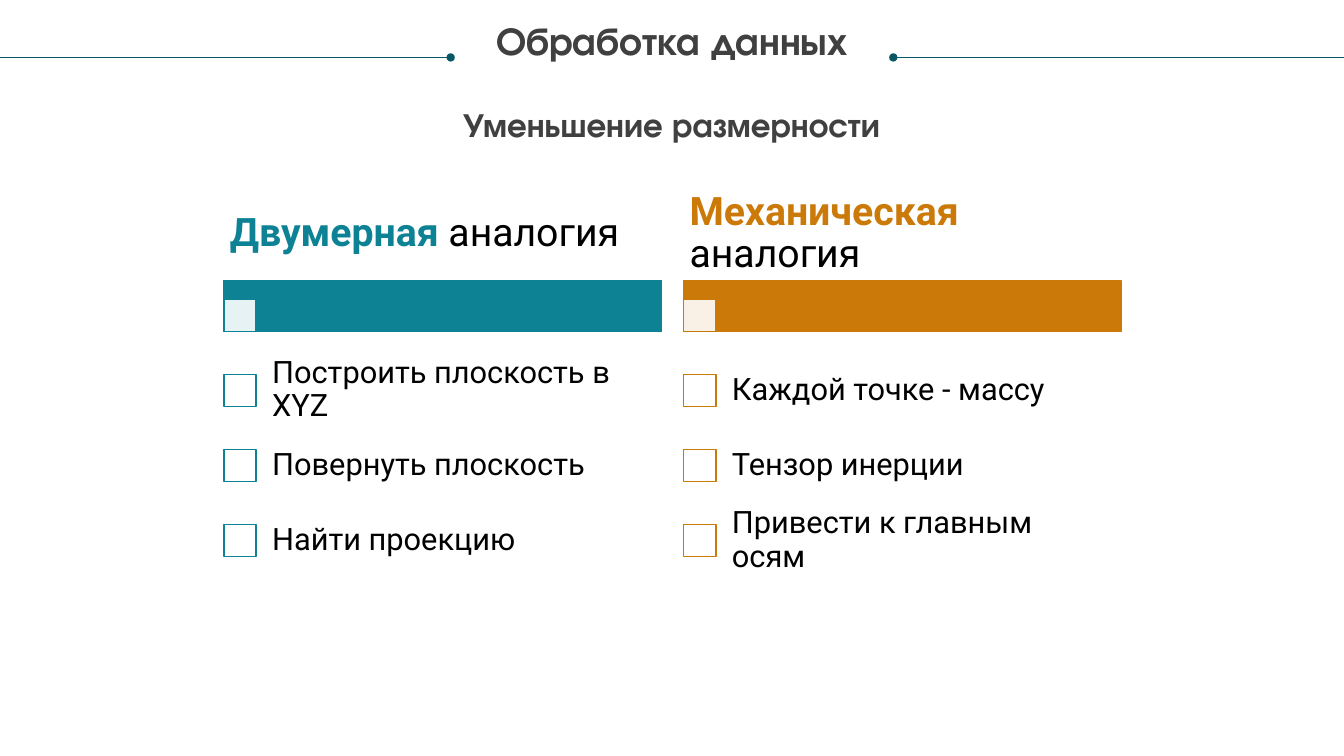
from lxml import etree
from pptx import Presentation
from pptx.dml.color import RGBColor
from pptx.enum.shapes import MSO_CONNECTOR, MSO_SHAPE
from pptx.enum.text import MSO_ANCHOR, PP_ALIGN
from pptx.oxml.ns import qn
from pptx.util import Inches, Pt

RECT, STRAIGHT = MSO_SHAPE.RECTANGLE, MSO_CONNECTOR.STRAIGHT
TOP, MIDDLE = MSO_ANCHOR.TOP, MSO_ANCHOR.MIDDLE
LEFT, CENTER = PP_ALIGN.LEFT, PP_ALIGN.CENTER

TITLE = "Обработка данных"
SUBTITLE = "Уменьшение размерности"
COLUMNS = [
    ("Двумерная", " аналогия", "teal",
     ["Построить плоскость в XYZ", "Повернуть плоскость", "Найти проекцию"]),
    ("Механическая", " аналогия", "orange",
     ["Каждой точке - массу", "Тензор инерции", "Привести к главным осям"]),
]
THEME = {
    "heading_font": "TeX Gyre Adventor", "body_font": "Roboto",
    "title_size": 28, "subtitle_size": 24, "head_size": 28, "item_size": 22,
    "teal": "0D8295", "orange": "CB7A09", "rule": "085764",
    "heading": "404040", "text": "000000", "white": "FFFFFF",
}

SLIDE_W, SLIDE_H = 13.33, 7.5
RULE_Y, RULE_LEN = 0.57, 4.47
COL_X, COL_W, COL_PITCH = 2.22, 4.34, 4.56
HEAD_Y, HEAD_H = 1.86, 0.92
BAR_Y, BAR_H = HEAD_Y + HEAD_H, 0.51
BOX = 0.32
ITEM_Y, ITEM_H, ITEM_INDENT = 3.5, 0.745, 0.31


def color(name):
    return RGBColor.from_string(THEME[name])


def run(text, size, ink, font="body_font", bold=False):
    return text, {"size": Pt(THEME[size]), "name": THEME[font], "bold": bold}, ink


def add_text(slide, at, runs, inset, anchor=MIDDLE, align=LEFT, spacing=0.9):
    """Inset is (horizontal, vertical) in inches."""
    tf = slide.shapes.add_textbox(*map(Inches, at)).text_frame
    h, v = map(Inches, inset)
    frame = {"word_wrap": True, "vertical_anchor": anchor, "margin_left": h,
             "margin_right": h, "margin_top": v, "margin_bottom": v}
    for key, value in frame.items():
        setattr(tf, key, value)
    p = tf.paragraphs[0]
    p.alignment, p.line_spacing = align, spacing
    for text, font, ink in runs:
        r = p.add_run()
        r.text = text
        for key, value in font.items():
            setattr(r.font, key, value)
        r.font.color.rgb = color(ink)


def add_rect(slide, at, fill, line, opacity=100):
    sp = slide.shapes.add_shape(RECT, *map(Inches, at))
    sp.shadow.inherit = False
    sp.fill.solid()
    sp.fill.fore_color.rgb = color(fill)
    sp.line.color.rgb = color(line)
    sp.line.width = Pt(1)
    if opacity < 100:
        clr = sp.fill._xPr.find(qn("a:solidFill"))[0]
        etree.SubElement(clr, qn("a:alpha"), val=str(opacity * 1000))


def add_rule(slide, edge, end):
    """Line from the slide edge to a round dot beside the title."""
    cx = slide.shapes.add_connector(
        STRAIGHT, *map(Inches, (edge, RULE_Y, end, RULE_Y)))
    cx.line.color.rgb = color("rule")
    cx.line.width = Pt(0.5)
    etree.SubElement(cx.line._get_or_add_ln(), qn("a:tailEnd"), type="oval")
    etree.SubElement(cx._element.spPr, qn("a:effectLst"))


def add_column(slide, x, strong, rest, accent, items):
    add_rect(slide, (x, BAR_Y, COL_W, BAR_H), accent, accent)
    add_rect(slide, (x, BAR_Y + BAR_H - BOX, BOX, BOX), "white", accent, 90)
    add_text(slide, (x, HEAD_Y, COL_W, HEAD_H),
             [run(strong, "head_size", accent, bold=True),
              run(rest, "head_size", "text")], (0.06, 0.04))
    for i, item in enumerate(items):
        y = ITEM_Y + i * ITEM_H
        add_rect(slide, (x, y + (ITEM_H - BOX) / 2, BOX, BOX), "white", accent)
        add_text(slide, (x + ITEM_INDENT, y, COL_W - ITEM_INDENT, ITEM_H),
                 [run(item, "item_size", "text")], (0.17, 0.17))


def main():
    prs = Presentation()
    prs.slide_width, prs.slide_height = Inches(SLIDE_W), Inches(SLIDE_H)
    slide = prs.slides.add_slide(prs.slide_layouts[6])
    add_rule(slide, SLIDE_W, SLIDE_W - RULE_LEN)
    add_rule(slide, 0, RULE_LEN)
    add_text(slide, (0.25, 0.21, 12.83, 0.85),
             [run(TITLE, "title_size", "heading", "heading_font", True)],
             (0, 0), TOP, CENTER)
    add_text(slide, (2.44, 0.98, 8.44, 0.5),
             [run(SUBTITLE, "subtitle_size", "heading", "heading_font", True)],
             (0.1, 0.05), TOP, CENTER, 1.0)
    for i, column in enumerate(COLUMNS):
        add_column(slide, COL_X + i * COL_PITCH, *column)
    prs.save("out.pptx")


if __name__ == "__main__":
    main()
